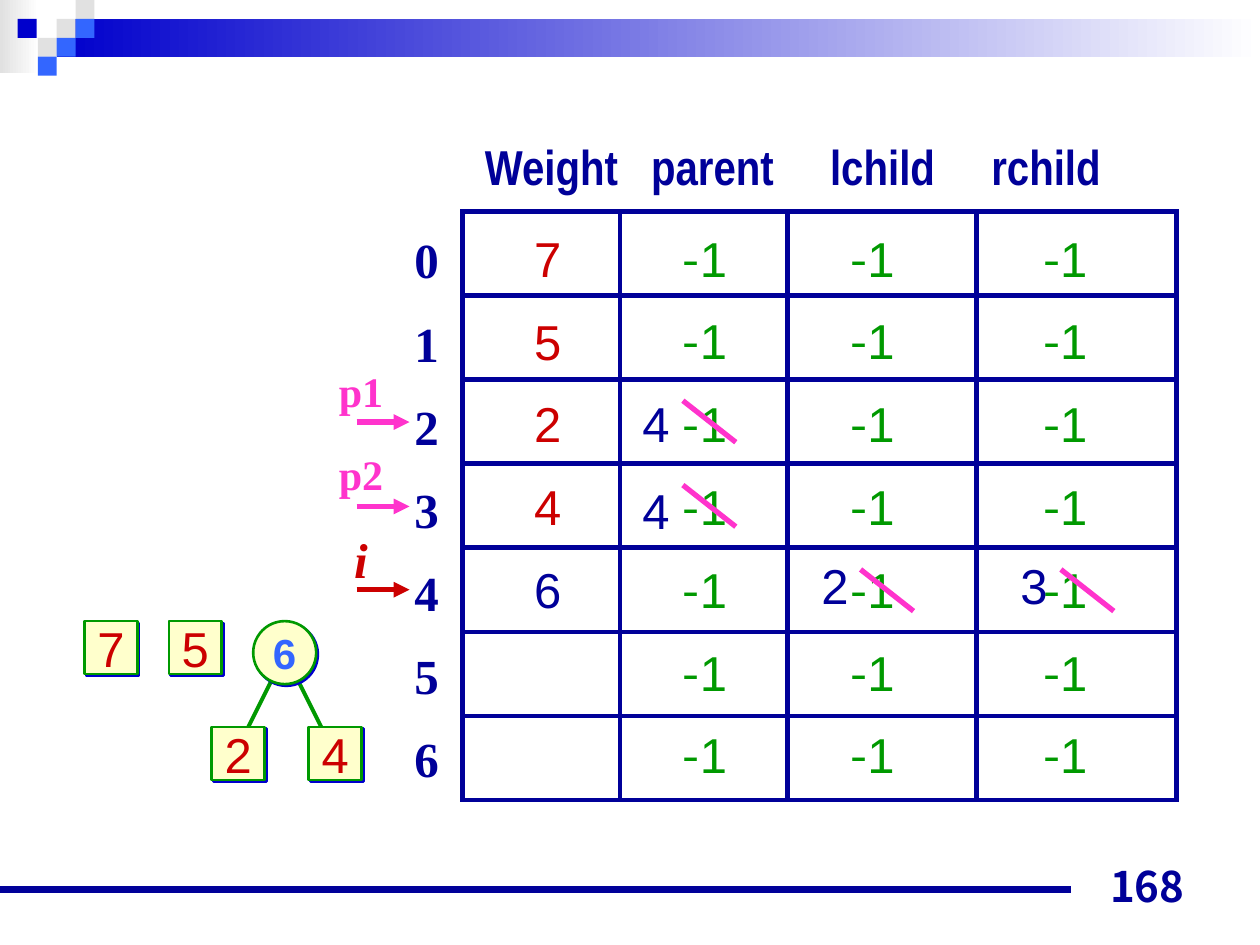
import lxml.etree
import pptx
import pptx.util
import pptx.dml.color
import pptx.enum.shapes
import pptx.enum.text
import pptx.oxml
import pptx.oxml.ns

Inches = pptx.util.Inches
Pt = pptx.util.Pt
RGB = pptx.dml.color.RGBColor
SHAPE = pptx.enum.shapes.MSO_SHAPE
ALIGN = pptx.enum.text.PP_ALIGN
ANCHOR = pptx.enum.text.MSO_ANCHOR
qn = pptx.oxml.ns.qn

WHITE = RGB(0xFF, 0xFF, 0xFF)
GREY = RGB(0xE1, 0xE1, 0xE1)
BLUE = RGB(0x00, 0x00, 0xCC)
SKY = RGB(0x33, 0x66, 0xFF)
NAVY = RGB(0x00, 0x00, 0x99)
GREEN = RGB(0x00, 0x99, 0x00)
RED = RGB(0xCC, 0x00, 0x00)
PINK = RGB(0xFF, 0x33, 0xCC)
CREAM = RGB(0xFF, 0xFF, 0xCC)


def add_line(x1, y1, x2, y2, color, width, arrow=False):
    cxn = s.shapes.add_connector(pptx.enum.shapes.MSO_CONNECTOR.STRAIGHT,
                                 Inches(x1), Inches(y1), Inches(x2), Inches(y2))
    cxn.line.color.rgb = color
    cxn.line.width = Pt(width)
    if arrow:
        lxml.etree.SubElement(cxn.line._get_or_add_ln(), qn("a:tailEnd"), type="triangle")
    lxml.etree.SubElement(cxn._element.spPr, qn("a:effectLst"))


def add_text(x, y, w, h, lines, font, size, color, bold=False, italic=False,
             align=ALIGN.CENTER, wrap=False):
    tb = s.shapes.add_textbox(Inches(x), Inches(y), Inches(w), Inches(h))
    tf = tb.text_frame
    tf.word_wrap = wrap
    tf.vertical_anchor = ANCHOR.MIDDLE
    for i, line in enumerate(lines):
        p = tf.paragraphs[0] if i == 0 else tf.add_paragraph()
        p.alignment = align
        r = p.add_run()
        r.text = line
        r.font.name, r.font.size = font, Pt(size)
        r.font.bold, r.font.italic = bold, italic
        r.font.color.rgb = color
    return tb


prs = pptx.Presentation()
prs.slide_width, prs.slide_height = Inches(10), Inches(7.5)
s = prs.slides.add_slide(prs.slide_layouts[6])

for x, y, w, h, color in [(0, 0, 0.31, 0.58, GREY), (0.45, 0.15, 9.55, 0.3, BLUE)]:
    sp = s.shapes.add_shape(SHAPE.RECTANGLE, Inches(x), Inches(y), Inches(w), Inches(h))
    sp.shadow.inherit = False
    sp.line.fill.background()
    sp.fill.gradient()
    sp.fill.gradient_angle = 180
    for stop, stop_color, position in zip(sp.fill.gradient_stops, (WHITE, color), (0, 1)):
        stop.color.rgb = stop_color
        stop.position = position

for x, y, color in [(0.45, 0.15, GREY), (0.6, 0, GREY), (0.6, 0.15, SKY), (0.3, 0.3, GREY),
                    (0.14, 0.15, BLUE), (0.45, 0.3, SKY), (0.3, 0.45, SKY)]:
    sp = s.shapes.add_shape(SHAPE.RECTANGLE, Inches(x), Inches(y), Inches(0.15), Inches(0.15))
    sp.shadow.inherit = False
    sp.fill.solid()
    sp.fill.fore_color.rgb = color
    sp.line.fill.background()

add_line(0, 7.06, 8.5, 7.06, NAVY, 4.5)

add_line(2.34, 5.35, 2.59, 5.85, GREEN, 2.25)
add_line(2.18, 5.35, 1.93, 5.85, GREEN, 2.25)
for kind, x, y, size, label, pt, color in [
        (SHAPE.RECTANGLE, 0.67, 4.93, 0.42, "7", 28, RED),
        (SHAPE.RECTANGLE, 1.34, 4.93, 0.42, "5", 28, RED),
        (SHAPE.RECTANGLE, 1.68, 5.77, 0.42, "2", 28, RED),
        (SHAPE.RECTANGLE, 2.45, 5.77, 0.42, "4", 28, RED),
        (SHAPE.OVAL, 2.01, 4.93, 0.5, "6", 24, SKY)]:
    sp = s.shapes.add_shape(kind, Inches(x), Inches(y), Inches(size), Inches(size))
    sp.fill.solid()
    sp.fill.fore_color.rgb = CREAM
    sp.line.color.rgb = GREEN
    sp.line.width = Pt(1.5)
    sp.shadow.inherit = False
    shadow = lxml.etree.SubElement(sp._element.spPr.find(qn("a:effectLst")), qn("a:outerShdw"),
                                   dist=str(Pt(1.4)), dir="2700000", algn="ctr", rotWithShape="0")
    lxml.etree.SubElement(shadow, qn("a:srgbClr"), val=str(BLUE))
    tf = sp.text_frame
    tf.margin_left = tf.margin_right = tf.margin_top = tf.margin_bottom = 0
    tf.word_wrap = False
    tf.vertical_anchor = ANCHOR.MIDDLE
    p = tf.paragraphs[0]
    p.alignment = ALIGN.CENTER
    r = p.add_run()
    r.text = label
    r.font.name, r.font.size = "Arial", Pt(pt)
    r.font.bold = kind == SHAPE.OVAL
    r.font.color.rgb = color

tb = add_text(3.75, 1.03, 5.6, 0.57, ["Weight\tparent\tlchild\trchild"],
              "Arial Narrow", 28, NAVY, bold=True, align=ALIGN.LEFT, wrap=True)
tabs = lxml.etree.SubElement(tb.text_frame.paragraphs[0]._p.get_or_add_pPr(), qn("a:tabLst"))
for stop in (1.32, 2.74, 4.02):
    lxml.etree.SubElement(tabs, qn("a:tab"), pos=str(Inches(stop)), algn="l")

weights = ["7", "5", "2", "4", "6", "", ""]
table = s.shapes.add_table(7, 4, Inches(3.67), Inches(1.68), Inches(5.67), Inches(4.67)).table
table.first_row = table.horz_banding = False
for column, width in zip(table.columns, (1.25, 1.33, 1.5, 1.59)):
    column.width = Inches(width)
for row, weight in enumerate(weights):
    table.rows[row].height = Inches(4.67 / 7)
    weight_color = NAVY if weight == "6" else RED
    for col, indent in enumerate((0.57, 0.5, 0.5, 0.53)):
        cell = table.cell(row, col)
        cell.margin_left, cell.margin_right = Inches(indent), 0
        cell.margin_top = Inches((0.07 if col else 0.17) - 0.01 * row)
        cell.margin_bottom = 0
        cell.vertical_anchor = ANCHOR.TOP
        tcPr = cell._tc.get_or_add_tcPr()
        for side in ("a:lnL", "a:lnR", "a:lnT", "a:lnB"):
            ln = lxml.etree.SubElement(tcPr, qn(side), w=str(Pt(3)))
            fill = lxml.etree.SubElement(ln, qn("a:solidFill"))
            lxml.etree.SubElement(fill, qn("a:srgbClr"), val=str(NAVY))
        cell.fill.background()
        if col:
            runs = [("-", "Noto Sans CJK SC", GREEN), ("1", "Arial", GREEN)]
        else:
            runs = [(weight, "Arial", weight_color)] if weight else []
        for text, font, color in runs:
            r = cell.text_frame.paragraphs[0].add_run()
            r.text = text
            r.font.name, r.font.size = font, Pt(28)
            r.font.color.rgb = color

tb = add_text(3.19, 1.75, 0.39, 4.55, [str(i) for i in range(7)],
              "Times New Roman", 28, NAVY, bold=True)
for i, p in enumerate(tb.text_frame.paragraphs):
    p.line_spacing = 1.05
    if i:
        p.space_before = Pt(12.2)

for y, color in [(3.35, PINK), (4.02, PINK), (4.68, RED)]:
    add_line(2.83, y, 3.25, y, color, 3, arrow=True)
add_text(2.59, 2.85, 0.55, 0.5, ["p1"], "Times New Roman", 24, PINK, bold=True)
add_text(2.59, 3.51, 0.55, 0.5, ["p2"], "Times New Roman", 24, PINK, bold=True)
add_text(2.71, 4.15, 0.31, 0.57, ["i"], "Times New Roman", 28, RED, bold=True, italic=True)

for x, y, value, text_x, text_y in [(5.42, 3.18, "4", 5, 3.07), (5.42, 3.85, "4", 5, 3.76),
                                    (6.83, 4.52, "2", 6.42, 4.36), (8.42, 4.52, "3", 8, 4.36)]:
    add_line(x, y, x + 0.42, y + 0.33, PINK, 3)
    add_text(text_x, text_y, 0.41, 0.57, [value], "Arial", 28, NAVY)

tb = add_text(7.17, 6.78, 2.33, 0.5, ["168"], "Noto Sans CJK JP", 24, NAVY,
              bold=True, align=ALIGN.RIGHT, wrap=True)
tb.text_frame.vertical_anchor = ANCHOR.BOTTOM

prs.save("out.pptx")
